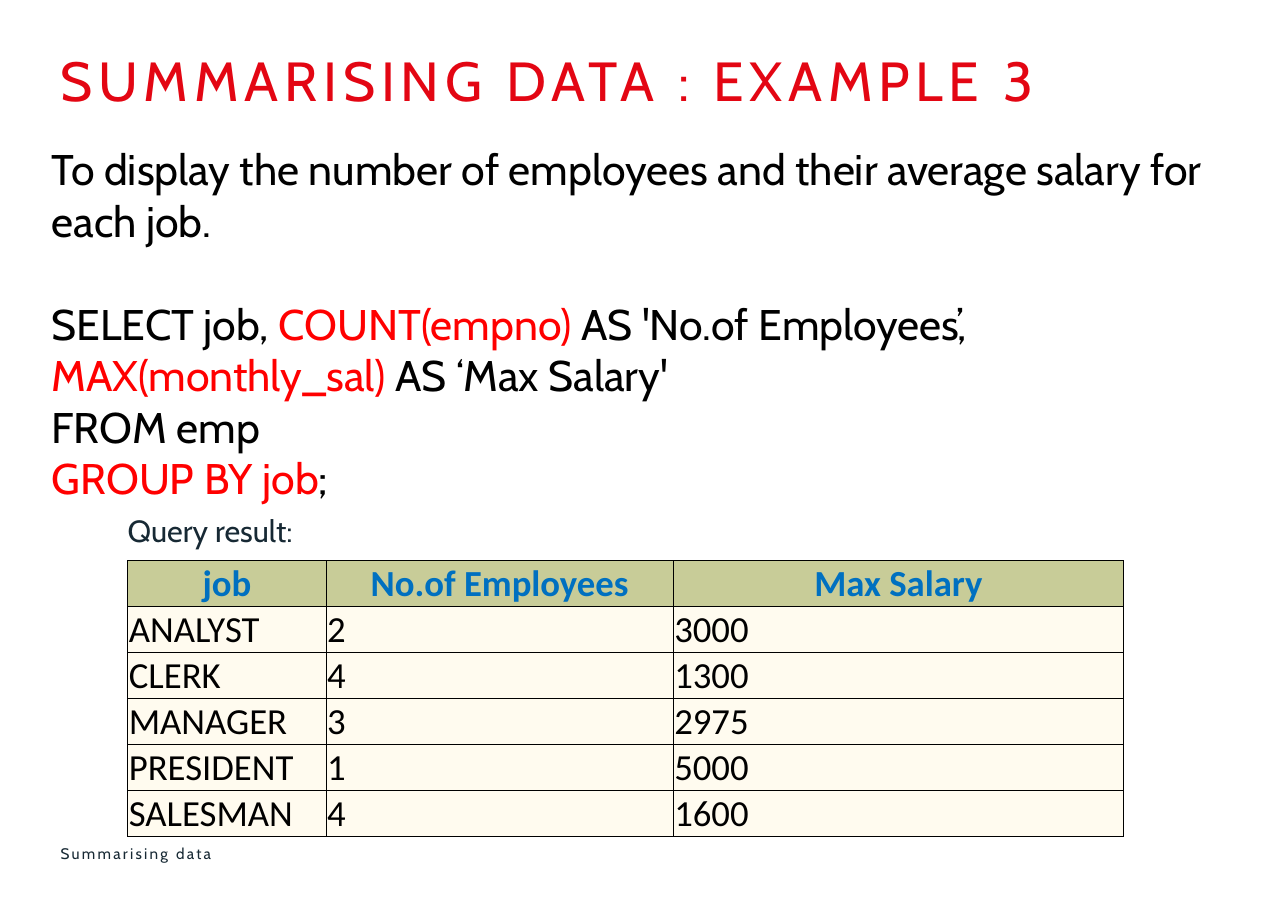
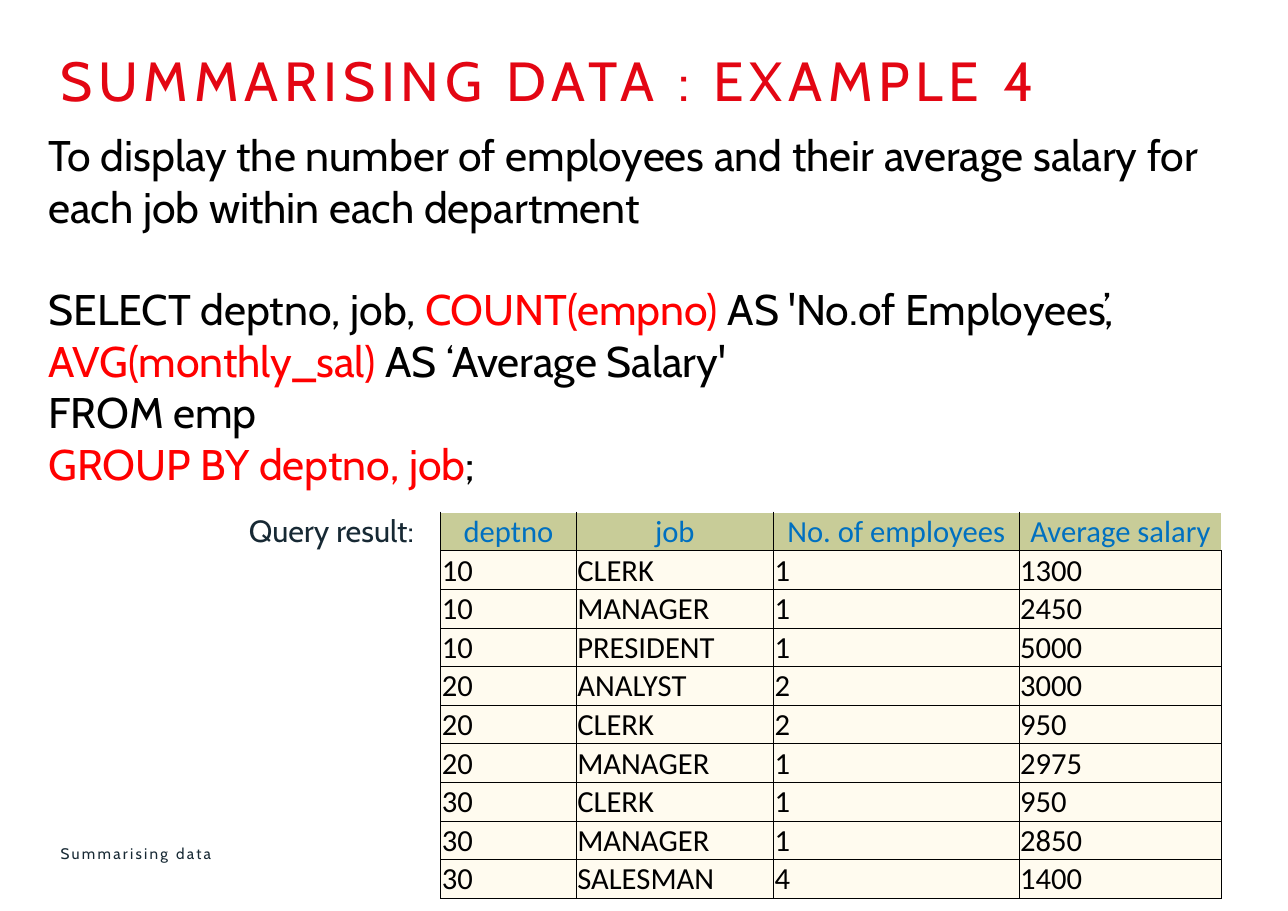
from lxml import etree
from pptx import Presentation
from pptx import util as u
from pptx.dml.color import RGBColor
from pptx.enum import shapes, text
from pptx.oxml.ns import qn

TITLE_RED, RED, BLACK, WHITE = "E30613", "FF0000", "000000", "FFFFFF"
SLATE, HEAD_BLUE, HEAD_FILL, BODY_FILL = "172934", "0070C0", "C8CC98", "FFFBEF"
TOP, MIDDLE, BOTTOM = (text.MSO_ANCHOR.TOP, text.MSO_ANCHOR.MIDDLE,
                       text.MSO_ANCHOR.BOTTOM)
LINE_PITCH = 33.6  # one line of 28 pt Cabin

# Box, anchor, size, colour and letter spacing of the single-line texts
TITLE = ((0.55, 0.42, 10.71, 0.62), TOP, 36, TITLE_RED, 380)
FOOTER = ((0.55, 7.64, 7.29, 0.22), MIDDLE, 10, SLATE, 150)

# Query lines alternate black and red parts, starting with black
slides = [
    dict(
        title="SUMMARISING DATA : EXAMPLE 3",
        body_at=(0.37, 1.25),
        task="To display the number of employees and their average salary "
             "for each job.",
        query=[["SELECT job, ", "COUNT(empno) ", "AS 'No.of Employees’,"],
               ["", "MAX(monthly_sal) ", "AS ‘Max Salary'"],
               ["FROM emp"],
               ["", "GROUP BY job", ";"]],
        label_at=(1.16, 4.65),
        table_at=(1.16, 5.09), height=2.44, cols=[1.8, 3.15, 4.09],
        size=24, bold_head=True, framed_head=True,
        rows=[["job", "No.of Employees", "Max Salary"],
              ["ANALYST", "2", "3000"],
              ["CLERK", "4", "1300"],
              ["MANAGER", "3", "2975"],
              ["PRESIDENT", "1", "5000"],
              ["SALESMAN", "4", "1600"]]),
    dict(
        title="SUMMARISING DATA : EXAMPLE 4",
        body_at=(0.34, 1.12),
        task="To display the number of employees and their average salary "
             "for each job within each department",
        query=[["SELECT deptno, job, ", "COUNT(empno) ",
                "AS 'No.of Employees’,"],
               ["", "AVG(monthly_sal)", " AS ‘Average Salary'"],
               ["FROM emp"],
               ["", "GROUP BY deptno, job", ";"]],
        label_at=(2.26, 4.65),
        table_at=(4, 4.65), height=3.4, cols=[1.23, 1.79, 2.23, 1.84],
        size=20, bold_head=False, framed_head=False,
        rows=[["deptno", "job", "No. of employees", "Average salary"],
              ["10", "CLERK", "1", "1300"],
              ["10", "MANAGER", "1", "2450"],
              ["10", "PRESIDENT", "1", "5000"],
              ["20", "ANALYST", "2", "3000"],
              ["20", "CLERK", "2", "950"],
              ["20", "MANAGER", "1", "2975"],
              ["30", "CLERK", "1", "950"],
              ["30", "MANAGER", "1", "2850"],
              ["30", "SALESMAN", "4", "1400"]]),
]


def add_run(p, words, size, color, name="Cabin", bold=False, spacing=0):
    r = p.add_run()
    r.text = words
    fmt = dict(size=u.Pt(size), name=name, bold=bold)
    for key, value in fmt.items():
        setattr(r.font, key, value)
    r.font.color.rgb = RGBColor.from_string(color)
    if spacing:
        r._r.get_or_add_rPr().set("spc", str(spacing))


def write_line(sp, words, box, anchor, size, color, spacing=0):
    for key, value in zip(("left", "top", "width", "height"), box):
        setattr(sp, key, u.Inches(value))
    tf = sp.text_frame
    fmt = dict(margin_left=0, margin_top=0, margin_right=0, margin_bottom=0,
               word_wrap=True, vertical_anchor=anchor,
               auto_size=text.MSO_AUTO_SIZE.NONE)
    for key, value in fmt.items():
        setattr(tf, key, value)
    p = tf.paragraphs[0]
    p.alignment = text.PP_ALIGN.LEFT
    add_run(p, words, size, color, spacing=spacing)


prs = Presentation()
prs.slide_width, prs.slide_height = u.Inches(11.69), u.Inches(8.27)

for data in slides:
    s = prs.slides.add_slide(prs.slide_layouts[5])
    write_line(s.shapes.title, data["title"], *TITLE)

    # Task and query
    left, top = data["body_at"]
    sp = s.shapes.add_shape(shapes.MSO_SHAPE.RECTANGLE, u.Inches(left),
                            u.Inches(top), u.Inches(10.92), u.Inches(3.4))
    sp.shadow.inherit = False
    sp.fill.solid()
    sp.fill.fore_color.rgb = RGBColor.from_string(WHITE)
    sp.line.fill.background()
    tf = sp.text_frame
    tf.word_wrap = True
    tf.vertical_anchor = TOP
    for i, parts in enumerate([[data["task"]]] + data["query"]):
        p = tf.add_paragraph() if i else tf.paragraphs[0]
        p.alignment = text.PP_ALIGN.LEFT
        if i == 1:
            p.space_before = u.Pt(LINE_PITCH)
        for j, part in enumerate(parts):
            if part:
                add_run(p, part, 28, RED if j % 2 else BLACK)

    # Label of the result
    sp = s.shapes.add_textbox(0, 0, 0, 0)
    write_line(sp, "Query result:", (*data["label_at"], 3.87, 0.34),
               TOP, 20, SLATE)

    # Result table
    rows, cols = data["rows"], data["cols"]
    left, top = data["table_at"]
    table = s.shapes.add_table(
        len(rows), len(cols), u.Inches(left), u.Inches(top),
        u.Inches(sum(cols)), u.Inches(data["height"])).table
    table.first_row = table.horz_banding = False
    for col, width in zip(table.columns, cols):
        col.width = u.Inches(width)
    for i, row in enumerate(rows):
        table.rows[i].height = u.Inches(data["height"] / len(rows))
        head = i == 0
        for j, words in enumerate(row):
            cell = table.cell(i, j)
            fmt = dict(margin_left=u.Inches(0.01), margin_top=u.Inches(0.01),
                       margin_right=u.Inches(0.01), margin_bottom=0,
                       vertical_anchor=MIDDLE if head else BOTTOM)
            for key, value in fmt.items():
                setattr(cell, key, value)
            cell.fill.solid()
            cell.fill.fore_color.rgb = RGBColor.from_string(
                HEAD_FILL if head else BODY_FILL)
            p = cell.text_frame.paragraphs[0]
            p.alignment = text.PP_ALIGN.CENTER if head else text.PP_ALIGN.LEFT
            add_run(p, words, data["size"], HEAD_BLUE if head else BLACK,
                    "Calibri", head and data["bold_head"])

            # Borders; an unframed header is open at the top and right
            sides = "LRTB"
            if head and not data["framed_head"]:
                sides = "LB" if j == len(row) - 1 else "LRB"
            for k, side in enumerate(sides):
                ln = etree.Element(qn("a:ln" + side), w=str(u.Pt(0.5)))
                fill = etree.SubElement(ln, qn("a:solidFill"))
                etree.SubElement(fill, qn("a:srgbClr"), val=BLACK)
                cell._tc.get_or_add_tcPr().insert(k, ln)

    # Footer
    write_line(s.shapes.add_textbox(0, 0, 0, 0), "Summarising data", *FOOTER)

prs.save("out.pptx")
